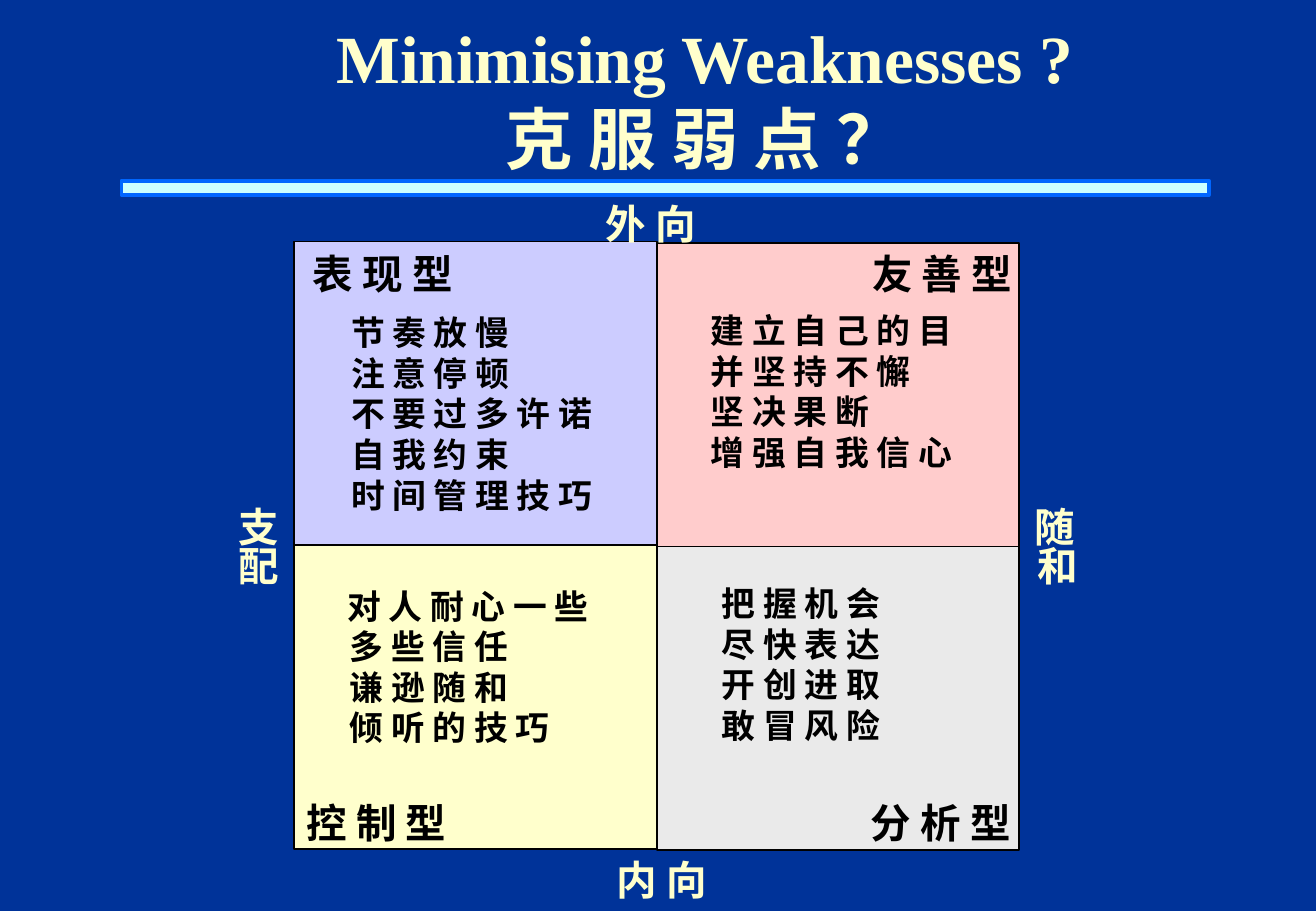
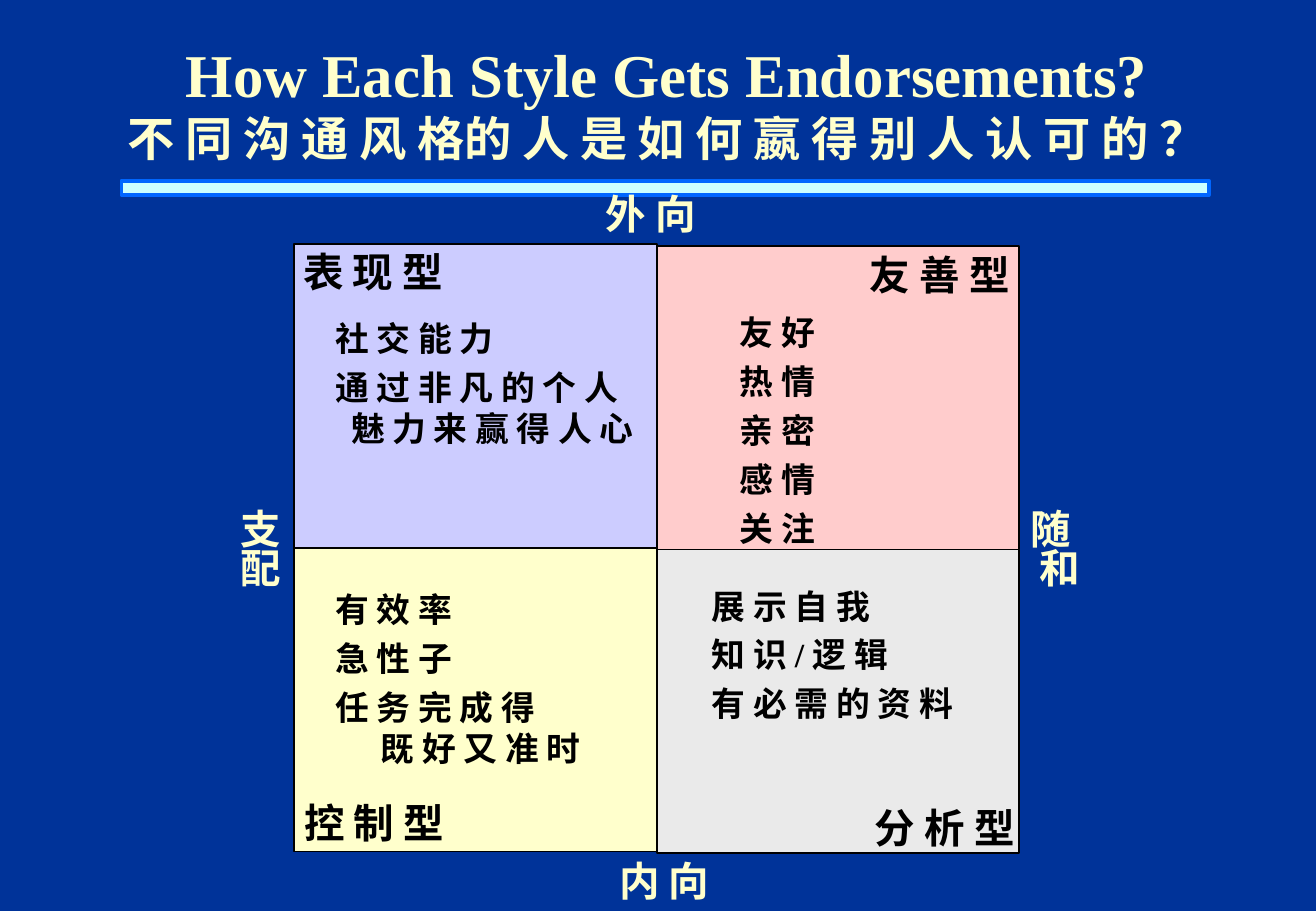
from dataclasses import dataclass

from pptx import Presentation
from pptx.dml.color import RGBColor
from pptx.enum.lang import MSO_LANGUAGE_ID
from pptx.enum.shapes import MSO_SHAPE
from pptx.enum.text import MSO_ANCHOR, MSO_AUTO_SIZE, PP_ALIGN
from pptx.util import Cm, Pt

LEFT, CENTER, RIGHT = PP_ALIGN.LEFT, PP_ALIGN.CENTER, PP_ALIGN.RIGHT
TOP, MIDDLE = MSO_ANCHOR.TOP, MSO_ANCHOR.MIDDLE
RECTANGLE = MSO_SHAPE.RECTANGLE
NO_AUTOFIT = MSO_AUTO_SIZE.NONE
CHINESE = MSO_LANGUAGE_ID.SIMPLIFIED_CHINESE


@dataclass(frozen=True)
class Theme:
    font: str = "Times New Roman"
    background: str = "003399"
    band: str = "CCFFFF"
    band_line: str = "0066FF"
    light: str = "FFFFCC"
    dark: str = "000000"
    cells: tuple = ("CCCCFF", "FFCCCC", "FFFFCC", "EAEAEA")
    label_size: int = 24
    list_size: int = 20


THEME = Theme()

# Content: positions in cm. Quadrants run top left, top right, bottom left,
# bottom right. A line is text, or (text, left margin, first-line indent).
QUADRANT_NAMES = ("表 现 型", "友 善 型", "控 制 型", "分 析 型")
SLIDES = [
    {
        "title": [("Minimising Weaknesses ?", 40), ("克 服 弱 点 ？", 40)],
        "title_box": (3.94, 0.43, 21.59, 3.18),
        "matrix_top": 5.05,
        # Outer text edge and top of each quadrant name
        "names": [(6.54, 5.21), (21.16, 5.21), (6.41, 16.69), (21.13, 16.69)],
        # Centre and top
        "poles": [("外 向", 13.61, 4.17), ("内 向", 13.84, 17.88)],
        # Left and top
        "sides": [(["支", "配"], 4.98, 10.69),
                  (["随", ("和", 0.06, 0)], 21.62, 10.69)],
        "space_before": 0,
        "lists": [
            (7.34, 6.53, ["节 奏 放 慢", "注 意 停 顿", "不 要 过 多 许 诺",
                          "自 我 约 束", "时 间 管 理 技 巧"]),
            (14.86, 6.48, ["建 立 自 己 的 目", "并 坚 持 不 懈",
                           "坚 决 果 断", "增 强 自 我 信 心"]),
            (7.26, 12.24, ["对 人 耐 心 一 些", ("多 些 信 任", 0.05, 0),
                           ("谦 逊 随 和", 0.05, 0),
                           ("倾 听 的 技 巧", 0.05, 0)]),
            (15.09, 12.19, ["把 握 机 会", "尽 快 表 达",
                            "开 创 进 取", "敢 冒 风 险"]),
        ],
    },
    {
        "title": [("How Each Style Gets Endorsements?", 36),
                  ("不 同 沟 通 风 格的 人 是 如 何 嬴 得 别 人 认 可 的 ？", 28)],
        "title_box": (0.49, 0.53, 26.9, 3.18),
        "matrix_top": 5.11,
        "names": [(6.34, 5.16), (21.11, 5.23), (6.36, 16.69), (21.21, 16.79)],
        "poles": [("外 向", 13.61, 3.96), ("内 向", 13.89, 17.91)],
        "sides": [(["支", "配"], 5.03, 10.74),
                  (["随", ("和", 0.18, 0)], 21.55, 10.74)],
        "space_before": 5,
        "lists": [
            (7.01, 6.65, ["社 交 能 力",
                          ("通 过 非 凡 的 个 人 魅 力 来 赢 得 人 心",
                           0.33, -0.33)]),
            (15.47, 6.53, ["友 好", "热 情", "亲 密", "感 情", "关 注"]),
            (7.01, 12.32, ["有 效 率", "急 性 子",
                           ("任 务 完 成 得\v既 好 又 准 时", 0.95, -0.95)]),
            (14.88, 12.24, ["展 示 自 我", "知 识 / 逻 辑",
                            "有 必 需 的 资 料"]),
        ],
    },
]

# Shared geometry in cm
SLIDE_SIZE = (27.51, 19.05)
BAND_BOX = (2.54, 3.78, 22.73, 0.3)
MATRIX_LEFT, CELL_WIDTH, CELL_HEIGHT, COLUMN_STEP = 6.15, 7.58, 6.35, 0.03
LABEL_WIDTH, LABEL_HEIGHT = 4, 1.1
SIDE_WIDTH, SIDE_HEIGHT = 1.5, 1.8
LIST_WIDTH, LIST_HEIGHT = 6.32, 4.4


def lengths(box):
    return [Cm(value) for value in box]


def apply(target, values):
    for name, value in values.items():
        setattr(target, name, value)


def write(paragraph, line, size, color, **layout):
    """Fill one paragraph and format it."""
    text, margin, indent = (line, 0, 0) if isinstance(line, str) else line
    paragraph.text = text
    apply(paragraph, layout)
    if margin:
        properties = paragraph._p.get_or_add_pPr()
        properties.set("marL", str(Cm(margin)))
        properties.set("indent", str(Cm(indent)))
    for run in paragraph.runs:
        apply(run.font, {"name": THEME.font, "size": Pt(size), "bold": True})
        run.font.color.rgb = RGBColor.from_string(color)
        if not text.isascii():
            run.font.language_id = CHINESE


def add_text(slide, box, lines, size, color, space_before=0, **layout):
    frame = slide.shapes.add_textbox(*lengths(box)).text_frame
    apply(frame, {"word_wrap": True, "auto_size": NO_AUTOFIT,
                  "vertical_anchor": TOP, "margin_left": 0, "margin_top": 0,
                  "margin_right": 0, "margin_bottom": 0})
    for index, line in enumerate(lines):
        paragraph = frame.add_paragraph() if index else frame.paragraphs[0]
        write(paragraph, line, size, color,
              space_before=Pt(space_before if index else 0), **layout)


def add_rectangle(slide, box, fill, line, weight):
    shape = slide.shapes.add_shape(RECTANGLE, *lengths(box))
    shape.shadow.inherit = False
    shape.fill.solid()
    shape.fill.fore_color.rgb = RGBColor.from_string(fill)
    shape.line.color.rgb = RGBColor.from_string(line)
    shape.line.width = Pt(weight)
    return shape


def set_title(slide, content):
    title = slide.shapes.title
    apply(title, dict(zip(("left", "top", "width", "height"),
                          lengths(content["title_box"]))))
    frame = title.text_frame
    apply(frame, {"word_wrap": True, "auto_size": NO_AUTOFIT,
                  "vertical_anchor": MIDDLE})
    for index, (line, size) in enumerate(content["title"]):
        paragraph = frame.add_paragraph() if index else frame.paragraphs[0]
        write(paragraph, line, size, THEME.light, alignment=CENTER)


def add_matrix(slide, content):
    for index, fill in enumerate(THEME.cells):
        row, column = divmod(index, 2)
        box = (MATRIX_LEFT + column * CELL_WIDTH,
               content["matrix_top"] + row * CELL_HEIGHT + column * COLUMN_STEP,
               CELL_WIDTH, CELL_HEIGHT)
        add_rectangle(slide, box, fill, THEME.dark, 1)

    # Quadrant names hug the outer edges
    for index, (edge, top) in enumerate(content["names"]):
        on_right = index % 2
        box = (edge - on_right * LABEL_WIDTH, top, LABEL_WIDTH, LABEL_HEIGHT)
        add_text(slide, box, [QUADRANT_NAMES[index]], THEME.label_size,
                 THEME.dark, alignment=RIGHT if on_right else LEFT)

    for left, top, lines in content["lists"]:
        add_text(slide, (left, top, LIST_WIDTH, LIST_HEIGHT), lines,
                 THEME.list_size, THEME.dark, content["space_before"])


def add_axis_labels(slide, content):
    for text, center, top in content["poles"]:
        box = (center - LABEL_WIDTH / 2, top, LABEL_WIDTH, LABEL_HEIGHT)
        add_text(slide, box, [text], THEME.label_size, THEME.light,
                 alignment=CENTER)
    for lines, left, top in content["sides"]:
        add_text(slide, (left, top, SIDE_WIDTH, SIDE_HEIGHT), lines,
                 THEME.label_size, THEME.light, line_spacing=0.8)


def main():
    presentation = Presentation()
    presentation.slide_width, presentation.slide_height = lengths(SLIDE_SIZE)
    master = presentation.slide_master
    master.background.fill.solid()
    master.background.fill.fore_color.rgb = RGBColor.from_string(THEME.background)
    title_only = presentation.slide_layouts[5]

    slides = [presentation.slides.add_slide(title_only) for _ in SLIDES]

    # The band is drawn once and moved to the master
    band = add_rectangle(slides[0], BAND_BOX, THEME.band, THEME.band_line, 2.25)
    master.shapes.element.append(band.element)

    for slide, content in zip(slides, SLIDES):
        set_title(slide, content)
        add_matrix(slide, content)
        add_axis_labels(slide, content)

    presentation.save("out.pptx")


if __name__ == "__main__":
    main()
